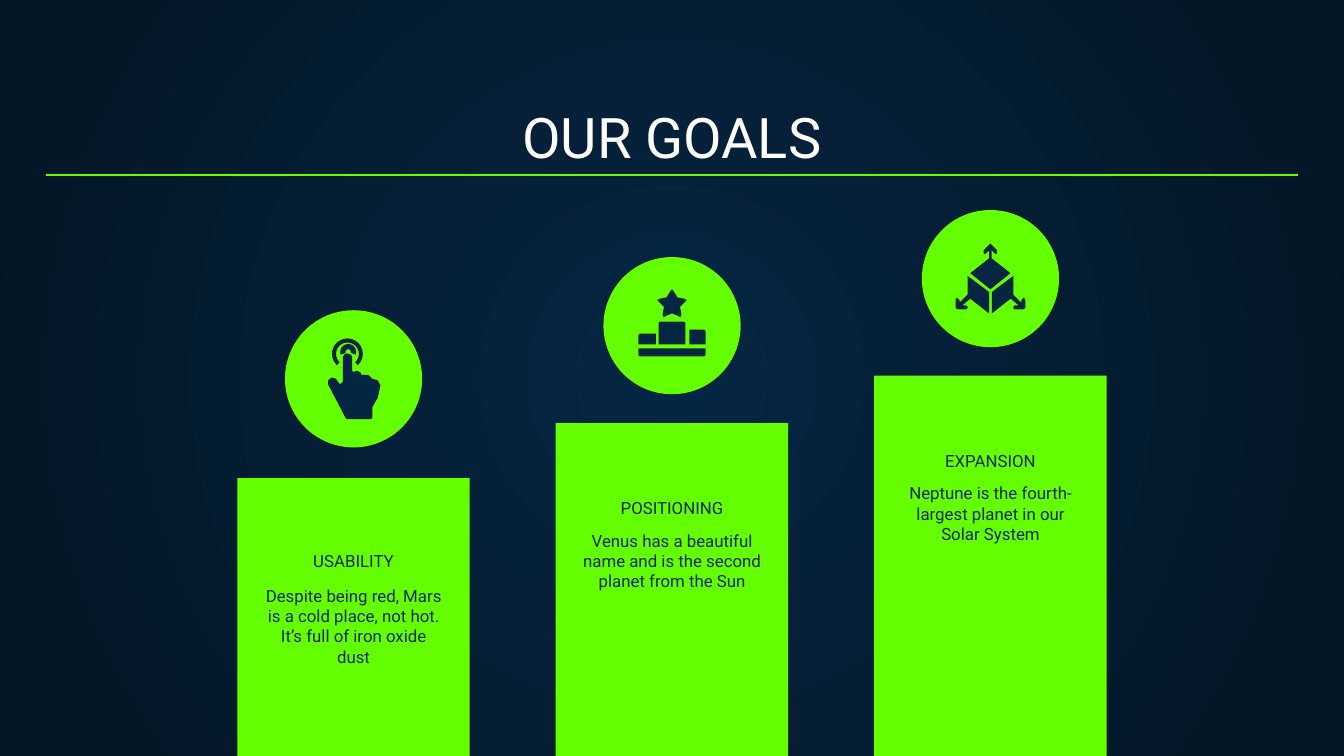
from lxml.etree import SubElement
from pptx import Presentation
from pptx.dml.color import RGBColor
from pptx.enum.shapes import MSO_CONNECTOR, MSO_SHAPE
from pptx.enum.text import MSO_ANCHOR, MSO_AUTO_SIZE, PP_ALIGN
from pptx.oxml.ns import qn
from pptx.util import Pt

COLORS = {"green": "64FF00", "navy": "052643", "edge": "041523",
          "ink": "0E2A47", "white": "FFFFFF"}
FONT = "Roboto"


def paint(shape, color):
    shape.shadow.inherit = False
    shape.fill.solid()
    shape.fill.fore_color.rgb = RGBColor.from_string(COLORS[color])
    shape.line.fill.background()


def write_text(shape, text, size, color, anchor):
    frame = shape.text_frame
    frame.auto_size = MSO_AUTO_SIZE.NONE
    frame.word_wrap = True
    frame.vertical_anchor = anchor
    frame.margin_left = frame.margin_right = Pt(7.2)
    frame.margin_top = frame.margin_bottom = Pt(7.2)
    paragraph = frame.paragraphs[0]
    paragraph.alignment = PP_ALIGN.CENTER
    run = paragraph.add_run()
    run.text = text
    run.font.name = FONT
    run.font.size = Pt(size)
    run.font.color.rgb = RGBColor.from_string(COLORS[color])


presentation = Presentation()
presentation.slide_width, presentation.slide_height = Pt(720), Pt(405)
slide = presentation.slides.add_slide(presentation.slide_layouts[5])
shapes = slide.shapes

# Background: radial gradient from the centre
background = slide.background.fill
background.gradient()
for stop, color in zip(background.gradient_stops, ("navy", "edge")):
    stop.color.rgb = RGBColor.from_string(COLORS[color])
gradient = slide.element.find(".//" + qn("a:gradFill"))
gradient.remove(gradient.find(qn("a:lin")))
radial = SubElement(gradient, qn("a:path"), path="circle")
SubElement(radial, qn("a:fillToRect"), l="50000", t="50000", r="50000", b="50000")

# Title and rule
title = shapes.title
title.left, title.top, title.width, title.height = Pt(24.5), Pt(50.4), Pt(671), Pt(47.5)
write_text(title, "OUR GOALS", 30, "white", MSO_ANCHOR.BOTTOM)
rule = shapes.add_connector(MSO_CONNECTOR.STRAIGHT, Pt(24.5), Pt(93.7), Pt(695.5), Pt(93.7))
rule.line.color.rgb = RGBColor.from_string(COLORS["green"])
rule.line.width = Pt(0.75)
SubElement(rule.element.spPr, qn("a:effectLst"))

# Icon outlines around the circle centre, in units of 0.72 pt.
# "halves" are right halves, completed by mirroring; "arcs" are
# left, top, size, start angle, end angle and relative thickness.
UNIT = 0.72
cube_side = [(17, -2), (1, 10), (1, 26), (15, 15), (21, 20), (18, 20), (17, 21),
             (17, 22), (18, 23), (24, 23), (26, 22), (26, 16), (25, 14), (23, 16),
             (23, 18), (17, 12)]
hand = [(-5, -19), (-7, -18), (-8, -16), (-8, 2), (-10, 4), (-11, 3), (-13, 0),
        (-16, -1), (-19, 1), (-19, 4), (-6, 29), (-5, 30), (13, 30), (14, 29),
        (14, 21), (18, 14), (20, 5), (18, 1), (14, 0), (13, -1), (11, -3), (7, -3),
        (6, -3), (5, -5), (2, -6), (0, -5), (-1, -6), (-1, -16), (-2, -18)]
star = [(0, -27), (1, -26), (4, -21), (9, -20), (11, -19), (10, -18), (6, -14),
        (7, -8), (6, -6), (5, -7), (0, -9)]
cube_top = [(0, -26), (1, -25), (5, -21), (5, -19), (4, -18), (3, -19), (1, -21),
            (1, -15), (15, -4), (0, 8)]
podium_blocks = [[(13, 3), (24, 3), (25, 4), (25, 14), (13, 14)],
                 [(-24, 6), (-12, 6), (-12, 14), (-25, 14), (-25, 7)]]
podium_center = [(9, -3), (10, -2), (10, 14)]
podium_base = [(25, 17), (25, 22), (24, 23)]

touch_icon = {"halves": [], "outlines": [hand],
              "arcs": [(-16, -30, 23, 133, 47, 0.13), (-10, -26, 12, 160, 20, 0.33)]}
podium_icon = {"halves": [star, podium_center, podium_base],
               "outlines": podium_blocks, "arcs": []}
cube_icon = {"halves": [cube_top],
             "outlines": [cube_side, [(-x, y) for x, y in cube_side]], "arcs": []}

# Goals: heading, text, bar top, circle top, icon
goals = [
    ("USABILITY", "Despite being red, Mars is a cold place, not hot. It’s full of iron oxide dust",
     256.2, 166.2, touch_icon),
    ("POSITIONING", "Venus has a beautiful name and is the second planet from the Sun",
     226.7, 137.7, podium_icon),
    ("EXPANSION", "Neptune is the fourth-largest planet in our Solar System",
     201.2, 112.5, cube_icon),
]
BAR_WIDTH, BAR_BOTTOM, CIRCLE = 124.5, 407.5, 73.5
HEADING_WIDTH, TEXT_WIDTH = 163.4, 109.4

for index, (heading, text, bar_top, circle_top, icon) in enumerate(goals):
    center_x = 360 + (index - 1) * 170.6
    center_y = circle_top + CIRCLE / 2

    # Bar and its words
    bar = shapes.add_shape(MSO_SHAPE.RECTANGLE, Pt(center_x - BAR_WIDTH / 2), Pt(bar_top),
                           Pt(BAR_WIDTH), Pt(BAR_BOTTOM - bar_top))
    paint(bar, "green")
    text_box = shapes.add_textbox(Pt(center_x - TEXT_WIDTH / 2), Pt(bar_top + 50.4),
                                  Pt(TEXT_WIDTH), Pt(39.6))
    write_text(text_box, text, 9, "ink", MSO_ANCHOR.TOP)
    heading_box = shapes.add_textbox(Pt(center_x - HEADING_WIDTH / 2), Pt(circle_top + 131.8),
                                     Pt(HEADING_WIDTH), Pt(15.1))
    write_text(heading_box, heading, 9, "ink", MSO_ANCHOR.BOTTOM)

    # Circle and icon
    circle = shapes.add_shape(MSO_SHAPE.OVAL, Pt(center_x - CIRCLE / 2), Pt(circle_top),
                              Pt(CIRCLE), Pt(CIRCLE))
    paint(circle, "green")
    icon_shapes = shapes.add_group_shape().shapes
    mirrored = [half + [(-x, y) for x, y in reversed(half)] for half in icon["halves"]]
    for outline in mirrored + icon["outlines"]:
        builder = icon_shapes.build_freeform(*outline[0], scale=Pt(UNIT))
        builder.add_line_segments(outline[1:], close=True)
        paint(builder.convert_to_shape(Pt(center_x), Pt(center_y)), "navy")
    for left, top, size, start, end, thickness in icon["arcs"]:
        arc = icon_shapes.add_shape(MSO_SHAPE.BLOCK_ARC, Pt(center_x + left * UNIT),
                                    Pt(center_y + top * UNIT), Pt(size * UNIT), Pt(size * UNIT))
        # Angles are stored in 60000ths of a degree, adjustments in 100000ths
        arc.adjustments[0] = start * 0.6
        arc.adjustments[1] = end * 0.6
        arc.adjustments[2] = thickness
        paint(arc, "navy")

presentation.save("out.pptx")
